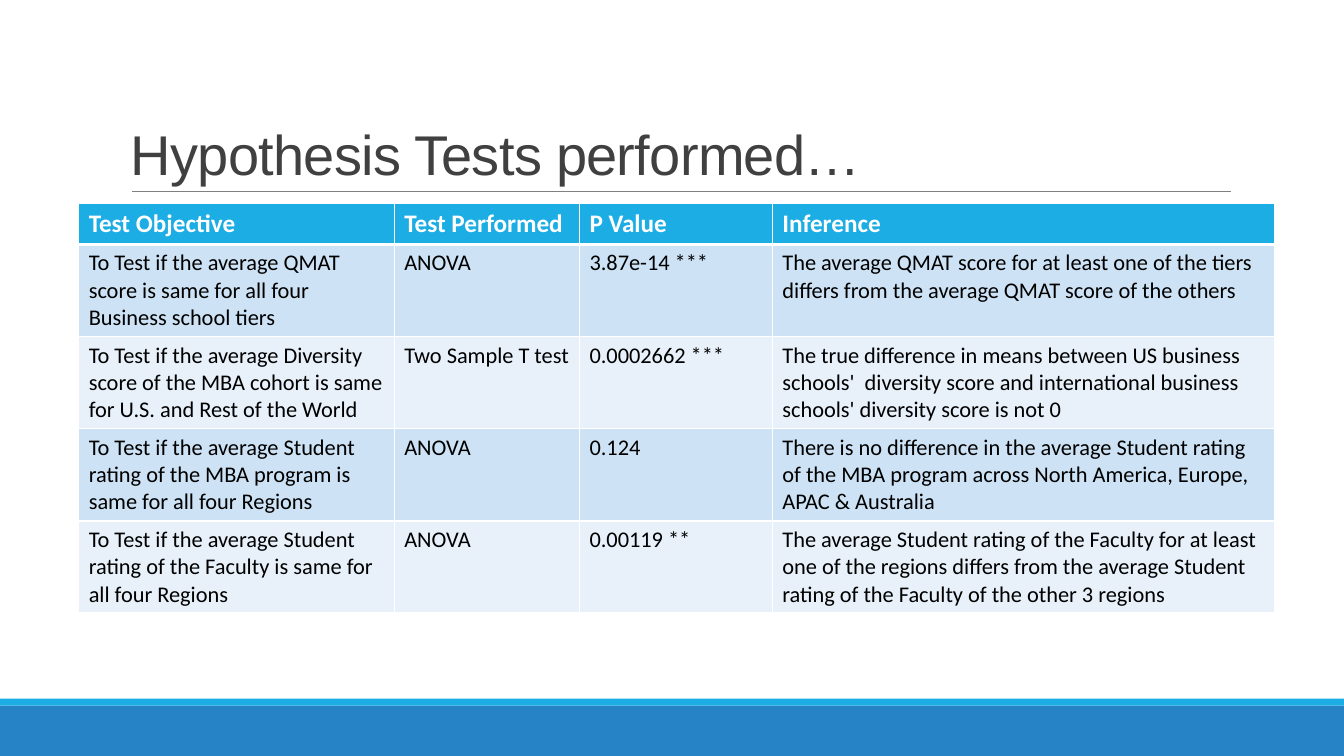
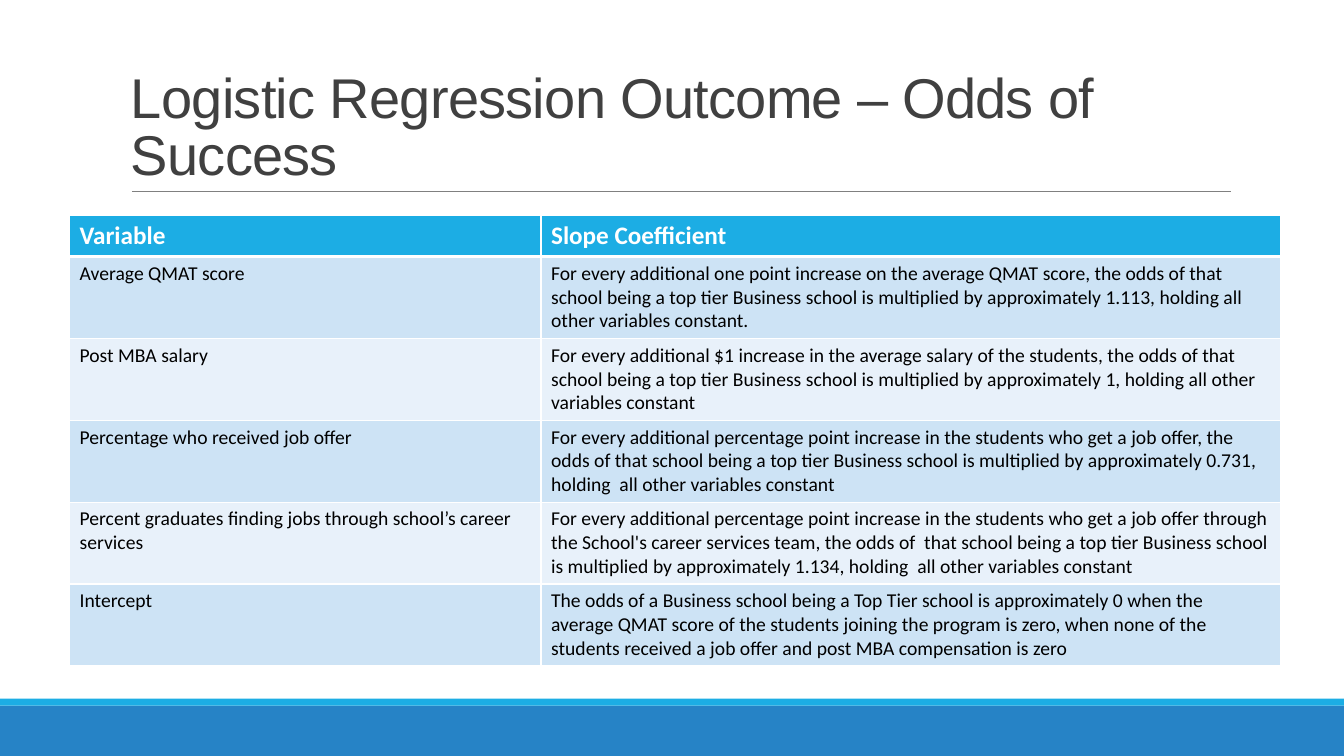
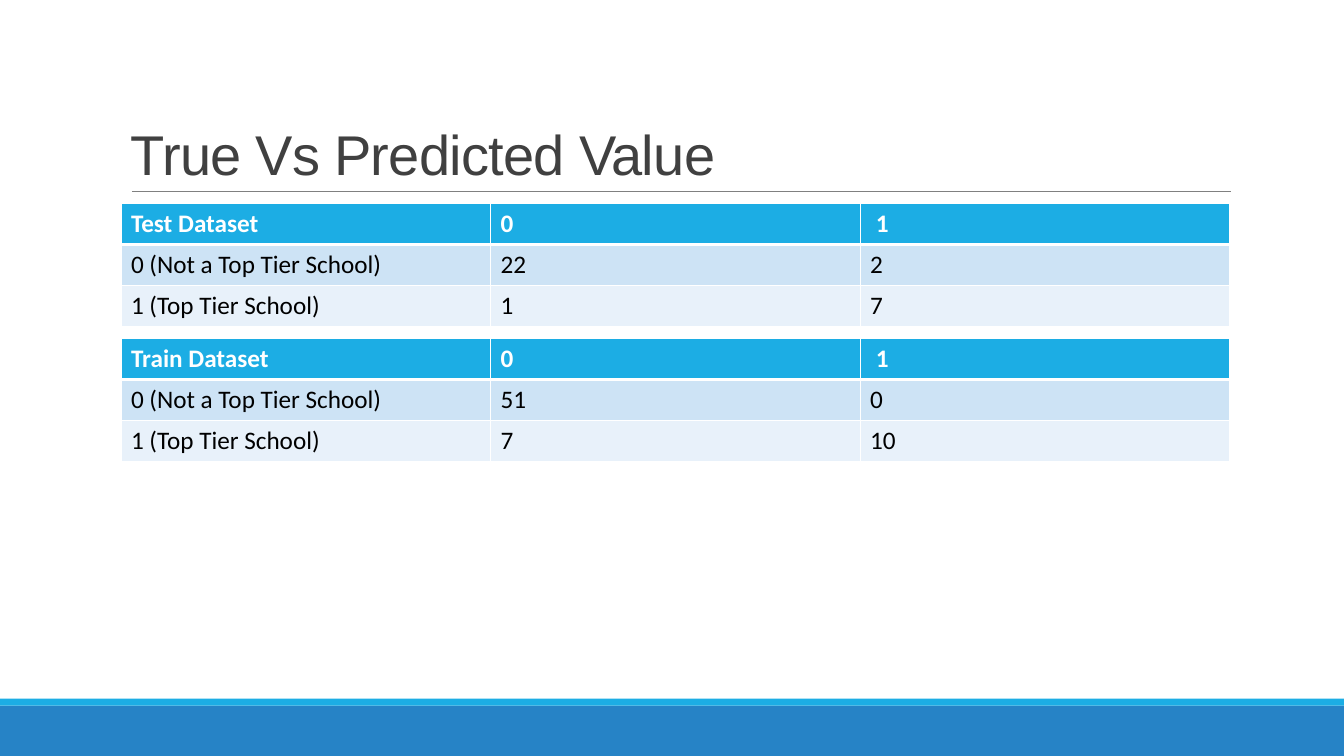
from dataclasses import dataclass

from lxml import etree
from pptx import Presentation
from pptx.dml.color import RGBColor
from pptx.enum.shapes import MSO_CONNECTOR, MSO_SHAPE
from pptx.enum.text import MSO_ANCHOR
from pptx.oxml.ns import qn
from pptx.util import Pt

RECT = MSO_SHAPE.RECTANGLE
STRAIGHT = MSO_CONNECTOR.STRAIGHT
BOTTOM = MSO_ANCHOR.BOTTOM


@dataclass(frozen=True)
class Theme:
    width: float = 960
    height: float = 540
    margin: float = 86.4
    content_width: float = 792
    title_top: float = 22.3
    title_bottom: float = 136.8
    footer_top: float = 504
    accent_height: float = 5
    header_height: float = 29.2
    footer: str = "2683C6"
    accent: str = "1CADE4"
    rule: str = "808080"
    title: str = "404040"
    body: str = "000000"
    white: str = "FFFFFF"
    bands: tuple = ("CDE3F5", "E8F1FA")
    title_font: str = "Arial"
    body_font: str = "Calibri"
    title_size: float = 40
    header_size: float = 18
    text_size: float = 16
    small_size: float = 14


def rgb(color):
    return RGBColor.from_string(color)


class Deck:
    def __init__(self, theme):
        self.theme = theme
        self.prs = Presentation()
        self.prs.slide_width = Pt(theme.width)
        self.prs.slide_height = Pt(theme.height)
        self.slide = None

    def add_slide(self, title):
        t = self.theme
        self.slide = self.prs.slides.add_slide(self.prs.slide_layouts[6])
        self.band(t.footer_top, t.height - t.footer_top, t.footer)
        self.band(t.footer_top - t.accent_height, t.accent_height, t.accent)
        self.rule(94.3, 879.1, t.title_bottom)
        self.title(title)

    def band(self, top, height, color):
        sp = self.slide.shapes.add_shape(
            RECT, 0, Pt(top), Pt(self.theme.width), Pt(height))
        sp.shadow.inherit = False
        sp.fill.solid()
        sp.fill.fore_color.rgb = rgb(color)
        sp.line.fill.background()

    def rule(self, left, right, y):
        line = self.slide.shapes.add_connector(
            STRAIGHT, Pt(left), Pt(y), Pt(right), Pt(y))
        line.line.color.rgb = rgb(self.theme.rule)
        line.line.width = Pt(0.5)
        etree.SubElement(line._element.spPr, qn("a:effectLst"))

    def title(self, text):
        t = self.theme
        sp = self.slide.shapes.add_textbox(
            Pt(t.margin), Pt(t.title_top), Pt(t.content_width),
            Pt(t.title_bottom - t.title_top))
        tf = sp.text_frame
        tf.word_wrap = True
        tf.vertical_anchor = BOTTOM
        tf.text = text
        p = tf.paragraphs[0]
        p.line_spacing = 0.85
        self.style(p, t.title_size, t.title, t.title_font)
        p.runs[0]._r.get_or_add_rPr().set("spc", "-50")

    def style(self, p, size, color, font, bold=False):
        for r in p.runs:
            r.font.size = Pt(size)
            r.font.color.rgb = rgb(color)
            r.font.name = font
            r.font.bold = bold

    def table(self, left, top, widths, row_height, size, rows):
        t = self.theme
        heights = [t.header_height] + [row_height] * (len(rows) - 1)
        frame = self.slide.shapes.add_table(
            len(rows), len(widths), Pt(left), Pt(top),
            Pt(sum(widths)), Pt(sum(heights)))
        table = frame.table
        for column, width in zip(table.columns, widths):
            column.width = Pt(width)
        for i, (row, height) in enumerate(zip(rows, heights)):
            table.rows[i].height = Pt(height)
            for j, text in enumerate(row):
                self.cell(table.cell(i, j), text, i, size)

    def cell(self, cell, text, row, size):
        t = self.theme
        header = row == 0
        self.borders(cell, top=3 if row == 1 else 1, bottom=3 if header else 1)
        cell.fill.solid()
        cell.fill.fore_color.rgb = rgb(
            t.accent if header else t.bands[(row - 1) % 2])
        cell.text_frame.text = text
        self.style(cell.text_frame.paragraphs[0],
                   t.header_size if header else size,
                   t.white if header else t.body, t.body_font, header)

    def borders(self, cell, top, bottom):
        tcPr = cell._tc.get_or_add_tcPr()
        for side, width in (("L", 1), ("R", 1), ("T", top), ("B", bottom)):
            ln = etree.SubElement(tcPr, qn("a:ln" + side), w=str(Pt(width)))
            fill = etree.SubElement(ln, qn("a:solidFill"))
            etree.SubElement(fill, qn("a:srgbClr"), val=self.theme.white)


TESTS = [
    ("Test Objective", "Test Performed", "P Value", "Inference"),
    ("To Test if the average QMAT score is same for all four Business school tiers",
     "ANOVA", "3.87e-14 ***",
     "The average QMAT score for at least one of the tiers differs from the "
     "average QMAT score of the others"),
    ("To Test if the average Diversity score of the MBA cohort is same for U.S. "
     "and Rest of the World",
     "Two Sample T test", "0.0002662 ***",
     "The true difference in means between US business schools'  diversity score "
     "and international business schools' diversity score is not 0"),
    ("To Test if the average Student rating of the MBA program is same for all "
     "four Regions",
     "ANOVA", "0.124",
     "There is no difference in the average Student rating of the MBA program "
     "across North America, Europe, APAC & Australia"),
    ("To Test if the average Student rating of the Faculty is same for all four "
     "Regions",
     "ANOVA", "0.00119 **",
     "The average Student rating of the Faculty for at least one of the regions "
     "differs from the average Student rating of the Faculty of the other 3 regions"),
]

ODDS = [
    ("Variable", "Slope Coefficient"),
    ("Average QMAT score",
     "For every additional one point increase on the average QMAT score, the odds "
     "of that school being a top tier Business school is multiplied by "
     "approximately 1.113, holding all other variables constant."),
    ("Post MBA salary",
     "For every additional $1 increase in the average salary of the students, the "
     "odds of that school being a top tier Business school is multiplied by "
     "approximately 1, holding all other variables constant"),
    ("Percentage who received job offer",
     "For every additional percentage point increase in the students who get a job "
     "offer, the odds of that school being a top tier Business school is "
     "multiplied by approximately 0.731, holding  all other variables constant"),
    ("Percent graduates finding jobs through school’s career services",
     "For every additional percentage point increase in the students who get a job "
     "offer through the School's career services team, the odds of  that school "
     "being a top tier Business school is multiplied by approximately 1.134, "
     "holding  all other variables constant"),
    ("Intercept",
     "The odds of a Business school being a Top Tier school is approximately 0 "
     "when the average QMAT score of the students joining the program is zero, "
     "when none of the students received a job offer and post MBA compensation "
     "is zero"),
]

CONFUSION = [
    ("Test Dataset", ("22", "2"), ("1", "7")),
    ("Train Dataset", ("51", "0"), ("7", "10")),
]


def main():
    theme = Theme()
    deck = Deck(theme)

    deck.add_slide("Hypothesis Tests performed…")
    deck.table(56.2, 145.5, (225.4, 132.3, 137.8, 359), 65.8,
               theme.text_size, TESTS)

    deck.add_slide("Logistic Regression Outcome – Odds of Success")
    deck.table(49.7, 154.1, (336.8, 528.2), 58.5, theme.small_size, ODDS)

    deck.add_slide("True Vs Predicted Value")
    for i, (name, negatives, positives) in enumerate(CONFUSION):
        rows = [(name, "0", " 1"),
                ("0 (Not a Top Tier School)", *negatives),
                ("1 (Top Tier School)", *positives)]
        deck.table(theme.margin, 145.5 + i * 96.4,
                   [theme.content_width / 3] * 3, theme.header_height,
                   theme.header_size, rows)

    deck.prs.save("out.pptx")


if __name__ == "__main__":
    main()
